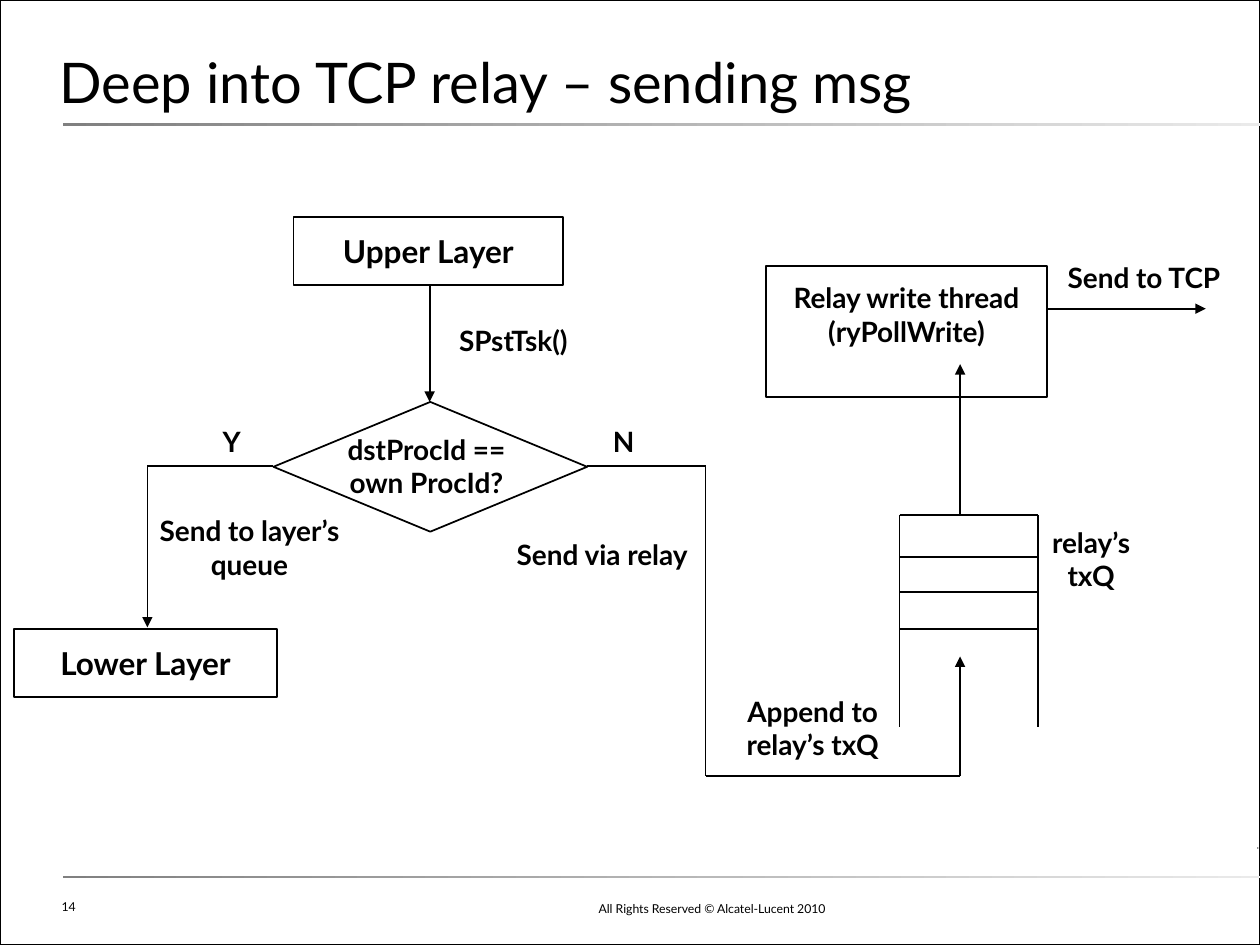
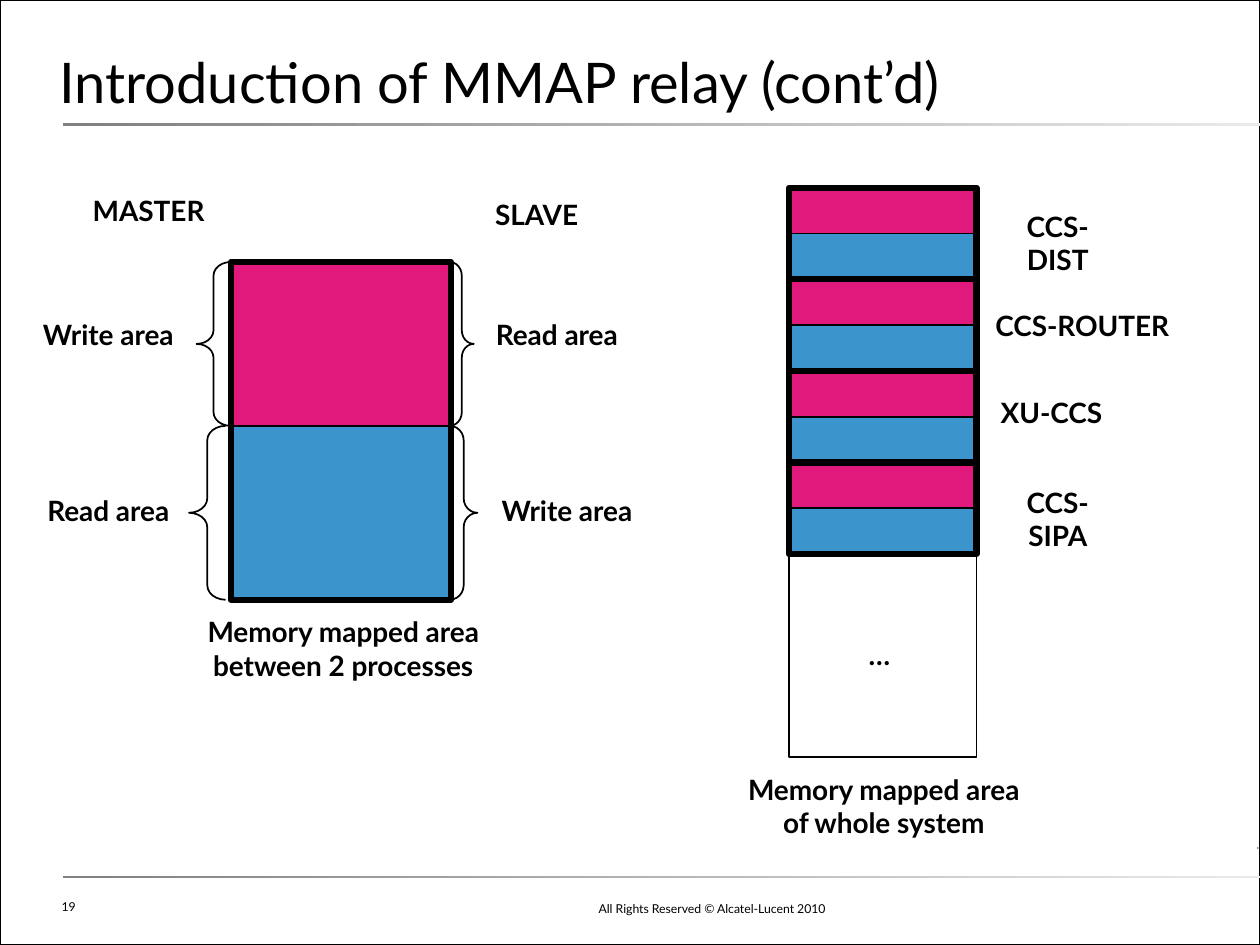
from dataclasses import dataclass
from itertools import pairwise

import pptx
import pptx.dml.color
import pptx.enum.shapes
import pptx.enum.text
import pptx.oxml.ns
import pptx.slide
import pptx.util
from lxml import etree

SHAPE = pptx.enum.shapes.MSO_SHAPE
ALIGN = pptx.enum.text.PP_ALIGN
ANCHOR = pptx.enum.text.MSO_ANCHOR


@dataclass(frozen=True)
class Theme:
    font: str = "Lato"
    ink: str = "000000"
    magenta: str = "E1197D"
    blue: str = "3B95CC"
    rule_dark: str = "808080"
    rule_light: str = "EAEAEA"
    title_size: float = 32
    layer_size: float = 18
    label_size: float = 16
    footer_size: float = 7
    thin: float = 1
    thick: float = 3.5


THEME = Theme()
COLUMNS, ROWS = 100, 75  # the slide is a grid of square cells
CELL = pptx.util.Inches(0.1)
LABEL_INSETS = (0.12, 0.12, 0.12, 0.12)
ONE_LINE, TWO_LINES = 5, 7.7  # label heights in rows


def rgb(value):
    return pptx.dml.color.RGBColor.from_string(value)


def cells(*lengths):
    return [round(length * CELL) for length in lengths]


@dataclass
class Region:
    """A box on a page, in grid cells; parts are placed from its top left corner."""
    page: pptx.slide.Slide
    left: float
    top: float
    width: float
    height: float

    def place(self, left, top, width, height):
        return cells(self.left + left, self.top + top, width, height)

    def shape(self, kind, box, fill=None, weight=THEME.thin):
        shape = self.page.shapes.add_shape(kind, *self.place(*box))
        shape.shadow.inherit = False
        if fill:
            shape.fill.solid()
            shape.fill.fore_color.rgb = rgb(fill)
        else:
            shape.fill.background()
        shape.line.color.rgb = rgb(THEME.ink)
        shape.line.width = pptx.util.Pt(weight)
        return shape

    def label(self, words, box, **style):
        write(self.page.shapes.add_textbox(*self.place(*box)), words, **style)

    def text_box(self, words, box, size):
        write(self.shape(SHAPE.RECTANGLE, box), words, size=size)

    def brace(self, kind, box):
        brace = self.shape(kind, box)
        brace.adjustments[0] = box[3] / box[2] / 12

    def route(self, *points, arrow=False):
        """Join the points with straight lines; an arrowhead goes on the last."""
        legs = list(pairwise(points))
        for number, (start, end) in enumerate(legs, 1):
            ends = cells(self.left + start[0], self.top + start[1],
                         self.left + end[0], self.top + end[1])
            line = self.page.shapes.add_connector(
                pptx.enum.shapes.MSO_CONNECTOR.STRAIGHT, *ends)
            line.line.color.rgb = rgb(THEME.ink)
            line.line.width = pptx.util.Pt(THEME.thin)
            properties = line._element.spPr
            if arrow and number == len(legs):
                outline = properties.find(pptx.oxml.ns.qn("a:ln"))
                etree.SubElement(outline, pptx.oxml.ns.qn("a:tailEnd"), type="triangle")
            etree.SubElement(properties, pptx.oxml.ns.qn("a:effectLst"))


def write(shape, words, size=THEME.label_size, bold=True, align=ALIGN.CENTER,
          anchor=ANCHOR.TOP, insets=LABEL_INSETS):
    frame = shape.text_frame
    frame.text = words
    frame.word_wrap = True
    frame.auto_size = pptx.enum.text.MSO_AUTO_SIZE.NONE
    frame.vertical_anchor = anchor
    (frame.margin_left, frame.margin_top,
     frame.margin_right, frame.margin_bottom) = map(pptx.util.Inches, insets)
    para = frame.paragraphs[0]
    para.alignment = align
    for span in para.runs:
        span.font.name = THEME.font
        span.font.size = pptx.util.Pt(size)
        span.font.bold = bold
        span.font.color.rgb = rgb(THEME.ink)


# Shared page: border, rules, title and footer
def add_rule(sheet, box):
    rule = sheet.shape(SHAPE.RECTANGLE, box)
    rule.line.fill.background()
    rule.fill.gradient()
    rule.fill.gradient_angle = 0
    for stop, colour in zip(rule.fill.gradient_stops, (THEME.rule_dark, THEME.rule_light)):
        stop.color.rgb = rgb(colour)


def add_page(deck, title, number):
    page = deck.slides.add_slide(deck.slide_layouts[5])
    sheet = Region(page, 0, 0, COLUMNS, ROWS)
    sheet.shape(SHAPE.RECTANGLE, (0, 0, COLUMNS, ROWS))
    for box in ((5, 9.8, 95.3, 0.2), (5, 69.5, 95.3, 0.2), (99.8, 67.2, 0.1, 0.2)):
        add_rule(sheet, box)

    heading = page.shapes.title
    heading.left, heading.top, heading.width, heading.height = sheet.place(4.7, 0.8, 90.6, 8.3)
    write(heading, title, size=THEME.title_size, bold=False, align=ALIGN.LEFT,
          anchor=ANCHOR.BOTTOM, insets=(0, 0, 0, 0))
    heading.text_frame.paragraphs[0].line_spacing = 1.2

    footer = dict(size=THEME.footer_size, bold=False, insets=(0.1, 0.05, 0.1, 0.05))
    sheet.label("All Rights Reserved © Alcatel-Lucent 2010", (35, 70.7, 31.5, 2.5),
                align=ALIGN.RIGHT, anchor=ANCHOR.BOTTOM, **footer)
    sheet.label(str(number), (3.9, 70.9, 42.4, 2.3), align=ALIGN.LEFT, **footer)
    return page


# Sending: the choice between the local queue and the relay
def draw_send_choice(region):
    middle, axis = 19.8, 33  # row of the side branches, column of the call
    region.text_box("Upper Layer", (22.2, 0, 21.4, 5.4), THEME.layer_size)
    region.route((axis, 5.4), (axis, 14.7), arrow=True)
    region.shape(SHAPE.DIAMOND, (20.6, 14.7, 24.9, 10.3))
    region.route((20.6, middle), (10.6, middle), (10.6, 32.6), arrow=True)
    region.text_box("Lower Layer", (0, 32.7, 20.9, 5.4), THEME.layer_size)
    region.route((45.5, middle), (region.width, middle), (region.width, region.height))
    for words, box in (
        ("SPstTsk()", (31, 7.3, 17.3, ONE_LINE)),
        ("dstProcId == own ProcId?", (23, 15.9, 19.5, TWO_LINES)),
        ("Y", (12.5, 15.3, 9.6, ONE_LINE)),
        ("N", (43.6, 15.3, 9.6, ONE_LINE)),
        ("Send to layer’s queue", (9.6, 22.4, 18.2, TWO_LINES)),
        ("Send via relay", (37, 24.3, 19.4, ONE_LINE)),
    ):
        region.label(words, box)


# Sending: the transmit queue and the thread that empties it
def draw_transmit_queue(region):
    left, right, axis = 15.4, 26.4, 20.2
    shelves = (21.4, 24.7, 27.5, 30.4)
    for rail in (left, right):
        region.route((rail, shelves[0]), (rail, 38.2))
    for shelf in shelves:
        region.route((left, shelf), (right, shelf))
    region.route((0, region.height), (axis, region.height), (axis, 32.6), arrow=True)
    region.text_box("Relay write thread (ryPollWrite)", (4.8, 1.6, 22.3, 10.4),
                    THEME.label_size)
    region.route((axis, shelves[0]), (axis, 9.4), arrow=True)
    region.route((27.1, 5), (39.7, 5), arrow=True)
    for words, box in (
        ("relay’s txQ", (25.2, 21, 10.8, TWO_LINES)),
        ("Append to relay’s txQ", (0, 34.4, 17, TWO_LINES)),
        ("Send to TCP", (26.5, 0, 16.6, ONE_LINE)),
    ):
        region.label(words, box)


# Memory map: the area that two processes share
def draw_process_pair(region):
    upper = 13
    lower = region.height - upper
    region.shape(SHAPE.RECTANGLE, (0, 0, region.width, upper), THEME.magenta)
    region.shape(SHAPE.RECTANGLE, (0, upper, region.width, lower), THEME.blue)
    for kind, box in (
        (SHAPE.LEFT_BRACE, (-2.7, 0, 2.7, upper)),
        (SHAPE.LEFT_BRACE, (-3.3, upper, 2.9, lower)),
        (SHAPE.RIGHT_BRACE, (17.4, 0, 1.9, upper)),
        (SHAPE.RIGHT_BRACE, (17.4, upper, 2.2, lower)),
    ):
        region.brace(kind, box)
    region.shape(SHAPE.RECTANGLE, (0, 0, region.width, region.height), weight=THEME.thick)
    for words, left, top in (
        ("MASTER", -13.5, -6.6), ("SLAVE", 17.3, -6.3),
        ("Write area", -16.7, 3.2), ("Read area", 18.9, 3.2),
        ("Read area", -16.7, 17.2), ("Write area", 19.7, 17.2),
    ):
        region.label(words, (left, top, 14, ONE_LINE))
    region.label("Memory mapped area between 2 processes",
                 (-3.4, region.height, 24.7, TWO_LINES))


# Memory map: the stack of areas in the whole system
def draw_system_map(region):
    slot = 7.27
    owners = (
        ("CCS-DIST", (15.4, 0.5, 11.9, TWO_LINES)),
        ("CCS-ROUTER", (14.8, 8.4, 17, ONE_LINE)),
        ("XU-CCS", (14.9, 15.3, 11.9, ONE_LINE)),
        ("CCS-SIPA", (15.4, 22.4, 11.9, TWO_LINES)),
    )
    used = slot * len(owners)
    region.shape(SHAPE.RECTANGLE, (0, used, region.width, region.height - used))
    for index, (owner, box) in enumerate(owners):
        top = index * slot
        for half, colour in enumerate((THEME.magenta, THEME.blue)):
            region.shape(SHAPE.RECTANGLE,
                         (0, top + half * slot / 2, region.width, slot / 2), colour)
        region.shape(SHAPE.RECTANGLE, (0, top, region.width, slot), weight=THEME.thick)
        region.label(owner, box)
    region.label("…", (4.4, 34.5, 5.6, ONE_LINE))
    region.label("Memory mapped area of whole system",
                 (-5.6, region.height, 26.3, TWO_LINES))


def main():
    deck = pptx.Presentation()
    deck.slide_width, deck.slide_height = cells(COLUMNS, ROWS)

    sending = add_page(deck, "Deep into TCP relay – sending msg", 14)
    draw_send_choice(Region(sending, 1.1, 17.2, 54.9, 44.4))
    draw_transmit_queue(Region(sending, 56, 19.5, 43.1, 42.1))

    mapping = add_page(deck, "Introduction of MMAP relay (cont’d)", 19)
    draw_process_pair(Region(mapping, 18.3, 20.8, 17.5, 26.8))
    draw_system_map(Region(mapping, 62.6, 14.9, 14.9, 45.2))

    deck.save("out.pptx")


if __name__ == "__main__":
    main()
